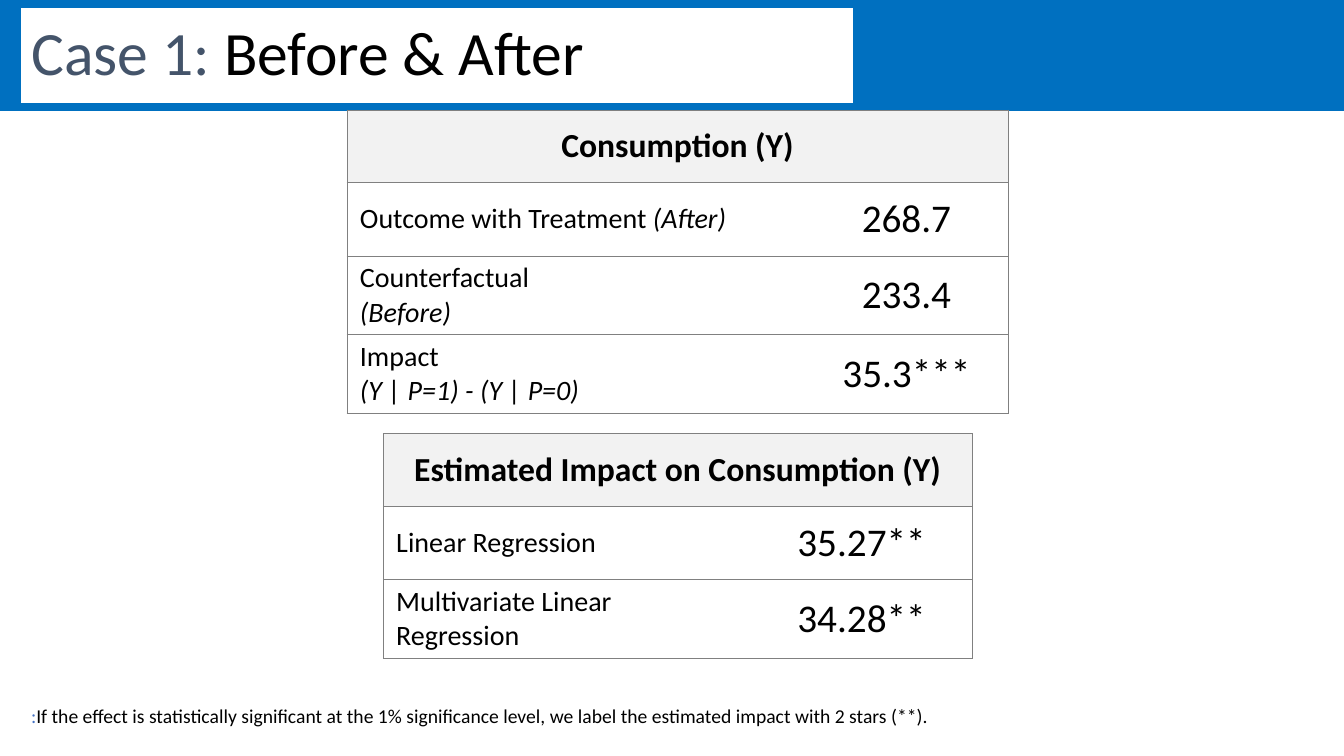
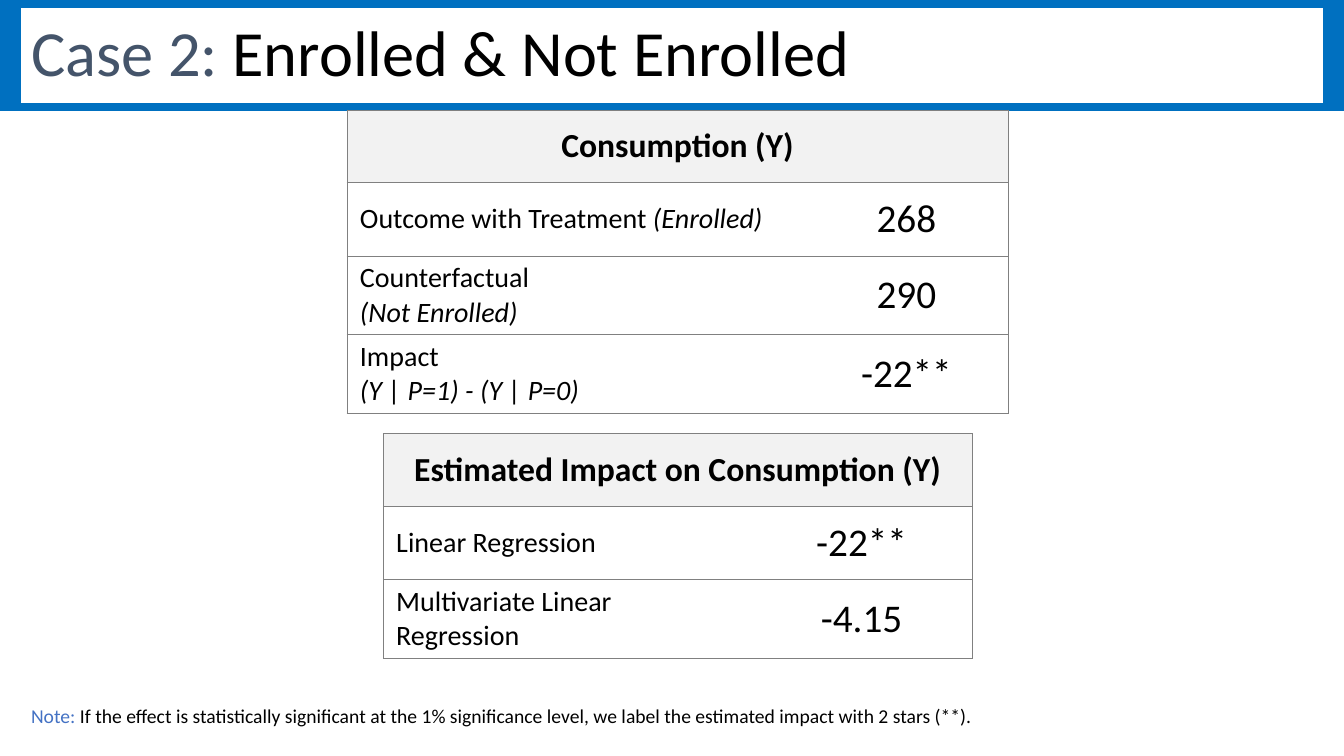
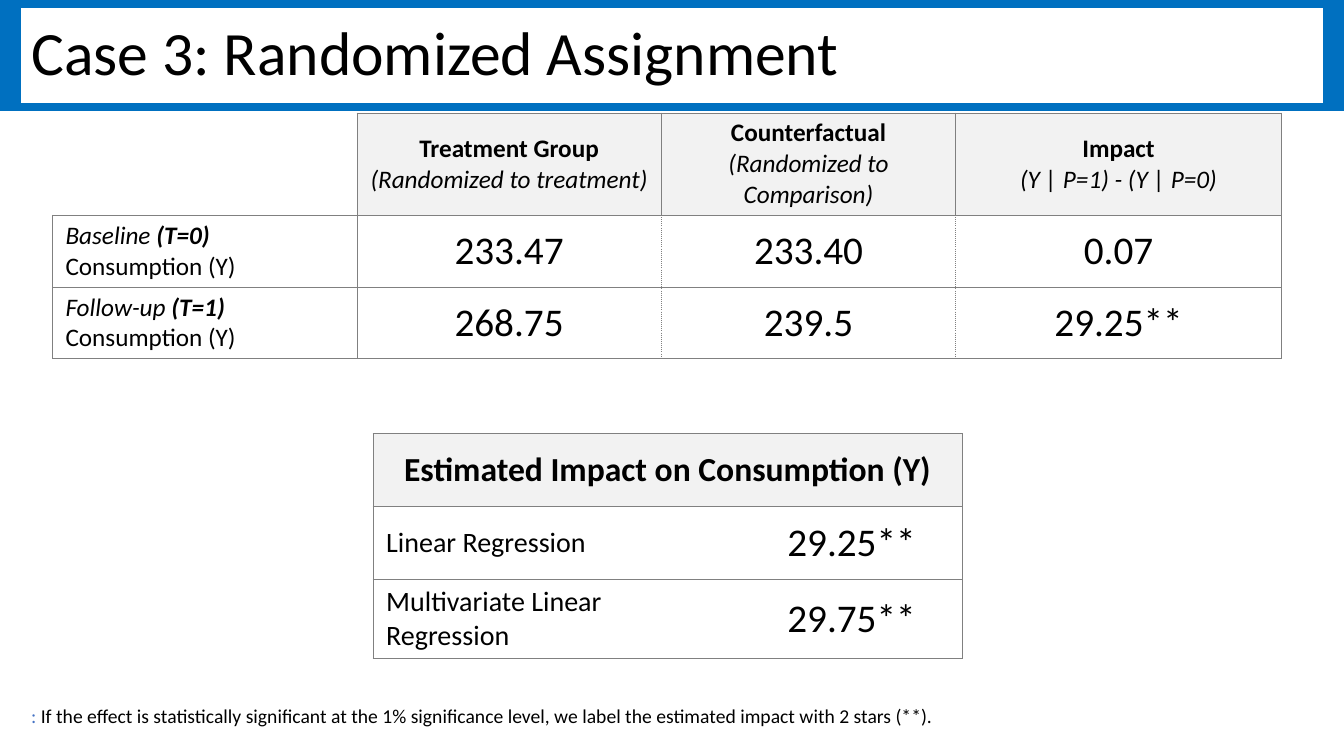
from dataclasses import dataclass, field
from typing import NamedTuple

from lxml import etree
from pptx import Presentation
from pptx.dml.color import RGBColor
from pptx.enum.shapes import MSO_SHAPE
from pptx.enum.text import MSO_ANCHOR, MSO_AUTO_SIZE, PP_ALIGN
from pptx.oxml.ns import qn
from pptx.util import Inches, Pt

LEFT, CENTER = PP_ALIGN.LEFT, PP_ALIGN.CENTER
MIDDLE = MSO_ANCHOR.MIDDLE
NO_FIT, GROW = MSO_AUTO_SIZE.NONE, MSO_AUTO_SIZE.SHAPE_TO_FIT_TEXT
RECTANGLE = MSO_SHAPE.RECTANGLE
TITLE_ONLY = 5
PLAIN_TABLE_STYLE = "{2D5ABB26-0587-4C30-8999-92F81FD0307C}"
SOLID, DOTTED = "solid", "sysDot"
SLIDE_WIDTH, SLIDE_HEIGHT = 13.33, 7.5
WIDE_TITLE = 12.91


@dataclass(frozen=True)
class Theme:
    font: str = "Calibri"
    band: str = "0070C0"
    paper: str = "FFFFFF"
    text: str = "000000"
    case_label: str = "44546A"
    note_label: str = "4472C4"
    header: str = "F2F2F2"
    border: str = "808080"
    border_width: float = 0.5
    title_size: int = 44
    large_title_size: int = 46
    heading_size: int = 24
    label_size: int = 20
    group_size: int = 18
    value_size: int = 28
    note_size: int = 14


THEME = Theme()


class Run(NamedTuple):
    text: str
    bold: bool = False
    italic: bool = False
    color: str = THEME.text


Paragraph = tuple[Run, ...]
Edges = dict[str, str]


def edges(sides: str, dotted: str = "") -> Edges:
    """Map each side (L, R, T, B) to its dash; sides left out have no line."""
    return {side: DOTTED if side in dotted else SOLID for side in sides}


@dataclass(frozen=True)
class Cell:
    paragraphs: tuple[Paragraph, ...]
    size: int
    align: PP_ALIGN = LEFT
    fill: str | None = None
    edges: Edges = field(default_factory=lambda: edges("LRTB"))


@dataclass(frozen=True)
class Grid:
    left: float
    top: float
    columns: tuple[float, ...]
    rows: tuple[float, ...]
    cells: list[list[Cell]]
    merged_heading: bool = True


@dataclass(frozen=True)
class Case:
    title: Paragraph
    results: Grid
    estimates: Grid
    note_label: str
    title_width: float = WIDE_TITLE
    title_size: int = THEME.title_size


def write(frame, paragraphs, size: int, align: PP_ALIGN = LEFT) -> None:
    for index, runs in enumerate(paragraphs):
        paragraph = frame.add_paragraph() if index else frame.paragraphs[0]
        paragraph.alignment = align
        font = paragraph.font
        font.name, font.size = THEME.font, Pt(size)
        font.color.rgb = RGBColor.from_string(THEME.text)
        for item in runs:
            run = paragraph.add_run()
            run.text = item.text
            if item.bold:
                run.font.bold = True
            if item.italic:
                run.font.italic = True
            if item.color != THEME.text:
                run.font.color.rgb = RGBColor.from_string(item.color)


def set_borders(cell, cell_edges: Edges) -> None:
    properties = cell._tc.get_or_add_tcPr()
    for side in "LRTB":
        line = etree.SubElement(properties, qn(f"a:ln{side}"))
        if side not in cell_edges:
            etree.SubElement(line, qn("a:noFill"))
            continue
        line.set("w", str(Pt(THEME.border_width)))
        fill = etree.SubElement(line, qn("a:solidFill"))
        etree.SubElement(fill, qn("a:srgbClr"), val=THEME.border)
        etree.SubElement(line, qn("a:prstDash"), val=cell_edges[side])


def fill_cell(cell, content: Cell) -> None:
    set_borders(cell, content.edges)
    if content.fill:
        cell.fill.solid()
        cell.fill.fore_color.rgb = RGBColor.from_string(content.fill)
    else:
        cell.fill.background()
    cell.vertical_anchor = MIDDLE
    cell.margin_left = cell.margin_right = Inches(0.13)
    cell.margin_top = cell.margin_bottom = Inches(0.05)
    write(cell.text_frame, content.paragraphs, content.size, content.align)


def add_grid(slide, grid: Grid) -> None:
    table = slide.shapes.add_table(
        len(grid.rows), len(grid.columns), Inches(grid.left), Inches(grid.top),
        Inches(sum(grid.columns)), Inches(sum(grid.rows))).table
    table.first_row = table.horz_banding = False
    table._tbl.tblPr.find(qn("a:tableStyleId")).text = PLAIN_TABLE_STYLE
    for column, width in zip(table.columns, grid.columns):
        column.width = Inches(width)
    for row, height in zip(table.rows, grid.rows):
        row.height = Inches(height)
    if grid.merged_heading:
        table.cell(0, 0).merge(table.cell(0, len(grid.columns) - 1))
    for r, row_cells in enumerate(grid.cells):
        for c, content in enumerate(row_cells):
            fill_cell(table.cell(r, c), content)


def heading_row(text: str) -> list[Cell]:
    """A heading and the empty cell that it is merged with."""
    return [Cell(paragraphs, THEME.heading_size, CENTER, THEME.header)
            for paragraphs in (((Run(text, bold=True),),), ())]


def value_row(label: tuple[Paragraph, ...], value: str) -> list[Cell]:
    return [Cell(label, THEME.label_size, edges=edges("LTB")),
            Cell(((Run(value),),), THEME.value_size, CENTER, edges=edges("TRB"))]


def consumption(treated: str, untreated: str, values: tuple[str, str, str]) -> Grid:
    labels = (
        ((Run("Outcome with Treatment "), Run(treated, italic=True)),),
        ((Run("Counterfactual"),), (Run(untreated, italic=True),)),
        ((Run("Impact"),), (Run("(Y | P=1) - (Y | P=0)", italic=True),)),
    )
    return Grid(3.44, 1.09, (4.54, 2.02), (0.72, 0.73, 0.77, 0.77),
                [heading_row("Consumption (Y)"), *map(value_row, labels, values)])


def estimates(linear: str, multivariate: str, left: float = 3.8) -> Grid:
    return Grid(left, 4.3, (3.65, 2.19), (0.72, 0.73, 0.77), [
        heading_row("Estimated Impact on Consumption (Y)"),
        value_row(((Run("Linear Regression"),),), linear),
        value_row(((Run("Multivariate Linear Regression"),),), multivariate),
    ])


def period_row(period: str, time: str, values: tuple[str, str, str]) -> list[Cell]:
    label = ((Run(period, italic=True), Run(time, bold=True, italic=True)),
             (Run("Consumption (Y)"),))
    inner_sides = ("R", "LR", "L")
    return [Cell(label, THEME.group_size)] + [
        Cell(((Run(value),),), THEME.value_size, CENTER, edges=edges("LRTB", dotted))
        for value, dotted in zip(values, inner_sides)]


def randomized_groups() -> Grid:
    headings = (
        ((Run("Treatment Group", bold=True),),
         (Run("(Randomized to treatment)", italic=True),)),
        ((Run("Counterfactual ", bold=True),
          Run("(Randomized to Comparison)", italic=True)),),
        ((Run("Impact", bold=True),),
         (Run("(Y | P=1) - (Y | P=0)", italic=True),)),
    )
    corner = Cell((), THEME.group_size, edges=edges("RB"))
    return Grid(0.52, 1.12, (3.02, 3.02, 2.92, 3.23), (1.0, 0.7, 0.7), [
        [corner] + [Cell(heading, THEME.group_size, CENTER, THEME.header)
                    for heading in headings],
        period_row("Baseline ", "(T=0)", ("233.47", "233.40", "0.07")),
        period_row("Follow-up ", "(T=1)", ("268.75", "239.5", "29.25**")),
    ], merged_heading=False)


CASES = (
    Case((Run("Case 1: ", color=THEME.case_label), Run("Before & After")),
         consumption("(After)", "(Before)", ("268.7", "233.4", "35.3***")),
         estimates("35.27**", "34.28**"), ":", title_width=8.25),
    Case((Run("Case 2: ", color=THEME.case_label), Run("Enrolled & Not Enrolled")),
         consumption("(Enrolled)", "(Not Enrolled)", ("268", "290", "-22**")),
         estimates("-22**", "-4.15"), "Note: ", title_size=THEME.large_title_size),
    Case((Run("Case 3: Randomized Assignment"),),
         randomized_groups(), estimates("29.25**", "29.75**", left=3.7), ": "),
)


def move_band_to_layout(slide, layout) -> None:
    """Draw the top band on a slide, then hand it to the layout behind all slides."""
    band = slide.shapes.add_shape(RECTANGLE, 0, 0, Inches(SLIDE_WIDTH), Inches(1.1))
    band.shadow.inherit = False
    band.fill.solid()
    band.fill.fore_color.rgb = RGBColor.from_string(THEME.band)
    band.line.color.rgb = RGBColor.from_string(THEME.band)
    band.line.width = Pt(1)
    layout.shapes.element.insert(2, band.element)


def set_title(slide, case: Case) -> None:
    title = slide.shapes.title
    title.left, title.top = Inches(0.21), Inches(0.08)
    title.width, title.height = Inches(case.title_width), Inches(0.94)
    title.fill.solid()
    title.fill.fore_color.rgb = RGBColor.from_string(THEME.paper)
    frame = title.text_frame
    frame.auto_size = NO_FIT
    frame.vertical_anchor = MIDDLE
    write(frame, (case.title,), case.title_size)
    frame.paragraphs[0].line_spacing = 0.9


def add_note(slide, label: str) -> None:
    frame = slide.shapes.add_textbox(
        Inches(0.21), Inches(6.93), Inches(10.86), Inches(0.34)).text_frame
    frame.word_wrap = True
    frame.auto_size = GROW
    explanation = ("If the effect is statistically significant at the 1% significance "
                   "level, we label the estimated impact with 2 stars (**).")
    write(frame, ((Run(label, color=THEME.note_label), Run(explanation)),),
          THEME.note_size)


def main() -> None:
    deck = Presentation()
    deck.slide_width, deck.slide_height = Inches(SLIDE_WIDTH), Inches(SLIDE_HEIGHT)
    layout = deck.slide_layouts[TITLE_ONLY]
    for index, case in enumerate(CASES):
        slide = deck.slides.add_slide(layout)
        if index == 0:
            move_band_to_layout(slide, layout)
        set_title(slide, case)
        add_grid(slide, case.results)
        add_grid(slide, case.estimates)
        add_note(slide, case.note_label)
    deck.save("out.pptx")


if __name__ == "__main__":
    main()
